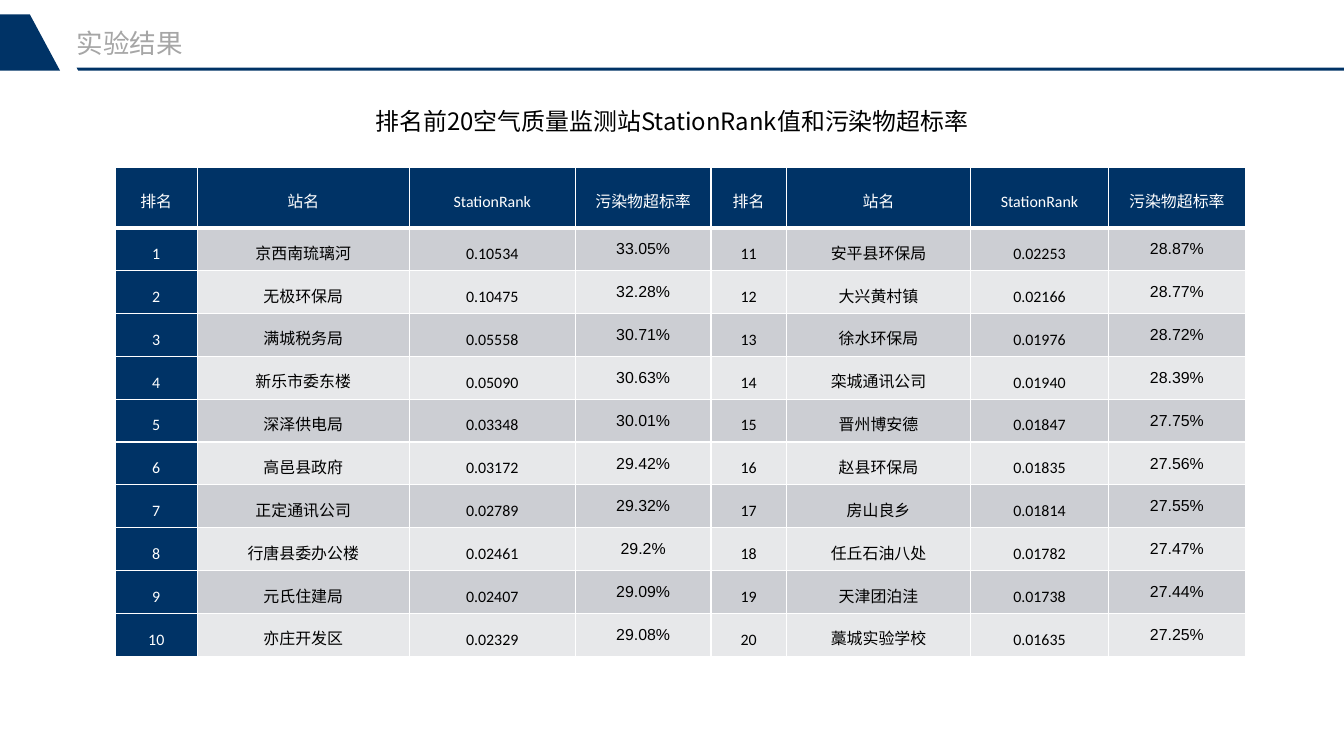
from dataclasses import dataclass

from lxml.etree import SubElement
from pptx import Presentation
from pptx.dml.color import RGBColor as RGB
from pptx.enum.text import MSO_ANCHOR as Anchor, PP_ALIGN as Align
from pptx.oxml.ns import qn
from pptx.util import Pt


@dataclass(frozen=True)
class Theme:
    navy: str = "003366"
    grey: str = "A6A6A6"
    white: str = "FFFFFF"
    black: str = "000000"
    bands: tuple = ("CCCED3", "E7E8EA")
    heading_size: int = 20
    caption_size: int = 18
    cell_size: int = 12
    sans: str = "Arial"
    figures: str = "Calibri"
    chinese: str = "Noto Sans CJK SC"


THEME = Theme()
HEADERS = ("排名", "站名", "StationRank", "污染物超标率") * 2
COLUMN_WIDTHS = (61.9, 159.6, 125.2, 102.2, 56.8, 138.9, 103.6, 103.6)
HEADER_HEIGHT, ROW_HEIGHT = 45.4, 32.3
RATE_COLUMNS = (3, 7)
STATIONS = (
    ("京西南琉璃河", "0.10534", "33.05%"),
    ("无极环保局", "0.10475", "32.28%"),
    ("满城税务局", "0.05558", "30.71%"),
    ("新乐市委东楼", "0.05090", "30.63%"),
    ("深泽供电局", "0.03348", "30.01%"),
    ("高邑县政府", "0.03172", "29.42%"),
    ("正定通讯公司", "0.02789", "29.32%"),
    ("行唐县委办公楼", "0.02461", "29.2%"),
    ("元氏住建局", "0.02407", "29.09%"),
    ("亦庄开发区", "0.02329", "29.08%"),
    ("安平县环保局", "0.02253", "28.87%"),
    ("大兴黄村镇", "0.02166", "28.77%"),
    ("徐水环保局", "0.01976", "28.72%"),
    ("栾城通讯公司", "0.01940", "28.39%"),
    ("晋州博安德", "0.01847", "27.75%"),
    ("赵县环保局", "0.01835", "27.56%"),
    ("房山良乡", "0.01814", "27.55%"),
    ("任丘石油八处", "0.01782", "27.47%"),
    ("天津团泊洼", "0.01738", "27.44%"),
    ("藁城实验学校", "0.01635", "27.25%"),
)


def apply(target, formats):
    for attribute, value in formats.items():
        setattr(target, attribute, value)


def write(frame, wording, font, size, color, **paragraph_formats):
    paragraph = frame.paragraphs[0]
    apply(paragraph, paragraph_formats)
    run = paragraph.add_run()
    run.text = wording
    apply(run.font, {"name": font, "size": Pt(size)})
    run.font.color.rgb = RGB.from_string(color)
    SubElement(run.font._element, qn("a:ea"), typeface=THEME.chinese)


def add_outline(slide, points):
    corners = [(Pt(x), Pt(y)) for x, y in points]
    builder = slide.shapes.build_freeform(*corners[0])
    builder.add_line_segments(corners[1:], close=True)
    outline = builder.convert_to_shape()
    outline.shadow.inherit = False
    outline.fill.solid()
    outline.fill.fore_color.rgb = RGB.from_string(THEME.navy)
    outline.line.fill.background()


def add_label(slide, box, wording, font, size, color, **frame_formats):
    frame = slide.shapes.add_textbox(*map(Pt, box)).text_frame
    apply(frame, {"word_wrap": True, **frame_formats})
    write(frame, wording, font, size, color)


def set_borders(cell, **widths):
    properties = cell._tc.get_or_add_tcPr()
    for side in "LRTB":
        width = Pt(widths.get(side, 1))
        edge = SubElement(properties, qn(f"a:ln{side}"), w=str(width))
        fill = SubElement(edge, qn("a:solidFill"))
        SubElement(fill, qn("a:srgbClr"), val=THEME.white)


def fill_cell(cell, wording, row, column):
    is_header = row == 0
    is_dark = is_header or column == 0
    is_rate = column in RATE_COLUMNS
    apply(cell, {
        "vertical_anchor": Anchor.MIDDLE,
        "margin_left": Pt(5), "margin_right": Pt(5),
        "margin_top": 0, "margin_bottom": 0,
    })
    set_borders(cell, B=3 if is_header else 1, T=3 if row == 1 else 1)
    cell.fill.solid()
    background = THEME.navy if is_dark else THEME.bands[(row - 1) % 2]
    cell.fill.fore_color.rgb = RGB.from_string(background)
    write(
        cell.text_frame, wording,
        THEME.sans if is_rate else THEME.figures, THEME.cell_size,
        THEME.white if is_dark else THEME.black,
        alignment=Align.CENTER,
        line_spacing=None if is_rate and not is_header else Pt(22),
    )


def ranking_rows():
    ranked = [(str(rank), *station) for rank, station in enumerate(STATIONS, 1)]
    half = len(ranked) // 2
    return [HEADERS] + [a + b for a, b in zip(ranked[:half], ranked[half:])]


def add_ranking(slide, left, top):
    rows = ranking_rows()
    heights = [HEADER_HEIGHT] + [ROW_HEIGHT] * (len(rows) - 1)
    ranking = slide.shapes.add_table(
        len(rows), len(HEADERS), Pt(left), Pt(top),
        Pt(sum(COLUMN_WIDTHS)), Pt(sum(heights)),
    ).table
    apply(ranking, {"first_row": False, "horz_banding": False})
    for column, width in zip(ranking.columns, COLUMN_WIDTHS):
        column.width = Pt(width)
    for row, height in zip(ranking.rows, heights):
        row.height = Pt(height)
    for r, entries in enumerate(rows):
        for c, wording in enumerate(entries):
            fill_cell(ranking.cell(r, c), wording, r, c)


def main():
    deck = Presentation()
    apply(deck, {"slide_width": Pt(1012.5), "slide_height": Pt(569.5)})
    slide = deck.slides.add_slide(deck.slide_layouts[6])
    add_outline(slide, [(57.8, 51), (1012.5, 51), (1012.5, 53.3), (59, 53.3)])
    add_outline(slide, [(22.5, 10.8), (45.3, 53.3), (0, 53.3), (0, 10.8)])
    add_label(
        slide, (57.8, 20.2, 241, 24.5), "实验结果",
        THEME.sans, THEME.heading_size, THEME.grey,
        margin_left=0, margin_top=0, margin_right=0, margin_bottom=0,
    )
    add_ranking(slide, 86.8, 126.2)
    add_label(
        slide, (276, 77, 472.3, 29),
        "排名前20空气质量监测站StationRank值和污染物超标率",
        THEME.chinese, THEME.caption_size, THEME.black,
    )
    deck.save("out.pptx")


if __name__ == "__main__":
    main()
